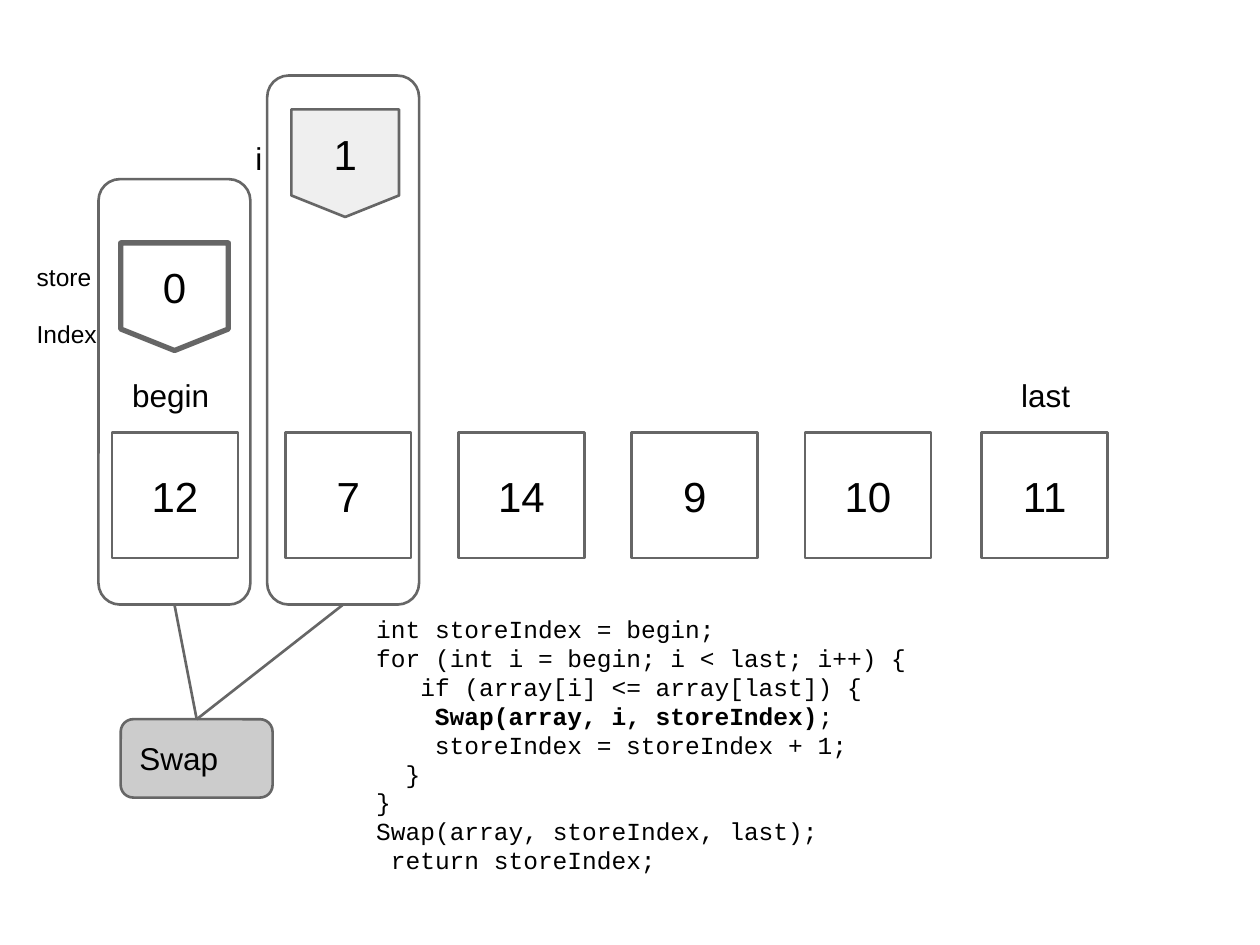
import pptx
import pptx.dml.color
import pptx.enum.shapes
import pptx.enum.text
import pptx.oxml
import pptx.oxml.ns
import pptx.util
from dataclasses import dataclass

Pt = pptx.util.Pt
SHAPE = pptx.enum.shapes.MSO_SHAPE
ALIGN = pptx.enum.text.PP_ALIGN
ANCHOR = pptx.enum.text.MSO_ANCHOR


@dataclass(frozen=True)
class Theme:
    ink: str = "000000"
    outline: str = "666666"
    marker: str = "EFEFEF"
    button: str = "CCCCCC"
    sans: str = "Arial"
    mono: str = "Courier New"
    number: float = 24
    label: float = 18
    small: float = 14
    leading: float = 16.5
    char: float = 8.4  # width of one code character
    thin: float = 1.5
    thick: float = 3


class Diagram:
    def __init__(self, s, theme):
        self.s, self.theme = s, theme

    def set_text(self, tf, lines, size, font=None, align=ALIGN.LEFT,
                 anchor=ANCHOR.TOP, insets=(0, 0.7, 0, 0), wrap=True, **spacing):
        """Fill a text frame; each line is (text, indent in characters, bold part)."""
        left, top, right, bottom = map(Pt, insets)
        frame = {"margin_left": left, "margin_top": top, "margin_right": right,
                 "margin_bottom": bottom, "word_wrap": wrap, "vertical_anchor": anchor}
        for name, value in frame.items():
            setattr(tf, name, value)
        for n, (text, indent, bold) in enumerate(lines):
            p = tf.add_paragraph() if n else tf.paragraphs[0]
            for name, value in {"alignment": align, **spacing}.items():
                setattr(p, name, value)
            if indent:
                p._p.get_or_add_pPr().set("marL", str(Pt(indent * self.theme.char)))
            for part, weight in ((bold, True), (text, False)):
                if part:
                    r = p.add_run()
                    r.text = part
                    look = {"name": font or self.theme.sans, "size": Pt(size), "bold": weight}
                    for name, value in look.items():
                        setattr(r.font, name, value)
                    r.font.color.rgb = pptx.dml.color.RGBColor.from_string(self.theme.ink)

    def paint(self, sp, fill=None, width=None):
        sp.shadow.inherit = False
        if fill:
            sp.fill.solid()
            sp.fill.fore_color.rgb = pptx.dml.color.RGBColor.from_string(fill)
        else:
            sp.fill.background()
        self.stroke(sp, width)
        return sp

    def stroke(self, sp, width=None):
        sp.line.width = Pt(width or self.theme.thin)
        sp.line.color.rgb = pptx.dml.color.RGBColor.from_string(self.theme.outline)

    def cell(self, x, y, side, value):
        sp = self.paint(self.s.shapes.add_shape(
            SHAPE.RECTANGLE, Pt(x), Pt(y), Pt(side), Pt(side)))
        self.set_text(sp.text_frame, [(value, 0, "")], self.theme.number,
                      align=ALIGN.CENTER, anchor=ANCHOR.MIDDLE)

    def frame(self, x, y, w, h, radius, fill=None):
        sp = self.paint(self.s.shapes.add_shape(
            SHAPE.ROUNDED_RECTANGLE, Pt(x), Pt(y), Pt(w), Pt(h)), fill)
        sp.adjustments[0] = radius / min(w, h)
        return sp

    def pointer(self, x, y, value, fill=None, width=None):
        """Square marker whose lower edge comes to a point."""
        side, shoulder = 61.5, 49.2
        pen = self.s.shapes.build_freeform(Pt(x), Pt(y))
        corners = [(side, 0), (side, shoulder), (side / 2, side), (0, shoulder)]
        pen.add_line_segments([(Pt(x + dx), Pt(y + dy)) for dx, dy in corners])
        sp = self.paint(pen.convert_to_shape(), fill, width)
        self.set_text(sp.text_frame, [(value, 0, "")], self.theme.number,
                      align=ALIGN.CENTER, anchor=ANCHOR.MIDDLE, insets=(0, 0, 0, 11))

    def text(self, x, y, w, h, lines, size, **style):
        sp = self.s.shapes.add_textbox(Pt(x), Pt(y), Pt(w), Pt(h))
        self.set_text(sp.text_frame, lines, size, **style)

    def label(self, x, y, w, value):
        self.text(x, y, w, 24, [(value, 0, "")], self.theme.label,
                  wrap=False, space_before=Pt(1))

    def link(self, start, end):
        """Join the top of one shape to the bottom of another."""
        sp = self.s.shapes.add_connector(
            pptx.enum.shapes.MSO_CONNECTOR.STRAIGHT, 0, 0, 0, 0)
        sp.begin_connect(start, 0)
        sp.end_connect(end, 2)
        self.stroke(sp)
        sp._element.spPr.append(pptx.oxml.parse_xml(
            "<a:effectLst %s/>" % pptx.oxml.ns.nsdecls("a")))


VALUES = ["12", "7", "14", "9", "10", "11"]
CELL_LEFTS = [64 + 99 * i for i in range(5)] + [561]

CODE = [
    ("int storeIndex = begin;", 0, ""),
    ("for (int i = begin; i < last; i++) {", 0, ""),
    ("if (array[i] <= array[last]) {", 3, ""),
    (";", 4, "Swap(array, i, storeIndex)"),
    ("storeIndex = storeIndex + 1;", 4, ""),
    ("}", 2, ""),
    ("}", 0, ""),
    ("Swap(array, storeIndex, last);", 0, ""),
    ("return storeIndex;", 1, ""),
]


def main():
    prs = pptx.Presentation()
    prs.slide_width, prs.slide_height = Pt(720), Pt(540)
    theme = Theme()
    d = Diagram(prs.slides.add_slide(prs.slide_layouts[6]), theme)

    # Array with its end labels
    for x, value in zip(CELL_LEFTS, VALUES):
        d.cell(x, 247, 72, value)
    d.label(75.5, 214, 46, "begin")
    d.label(583.5, 214, 31, "last")

    # Partition code
    d.text(215, 350.6, 305, 150.5, CODE, theme.small, font=theme.mono,
           line_spacing=Pt(theme.leading))

    # Index markers
    d.pointer(69, 138.8, "0", width=theme.thick)
    d.text(21, 147.6, 36, 52, [("store", 0, ""), ("Index", 0, "")], theme.small,
           insets=(0, 2.2, 0, 0), wrap=False,
           line_spacing=Pt(theme.leading), space_after=Pt(theme.leading))
    d.pointer(166.5, 62.5, "1", fill=theme.marker)
    d.label(146, 78.5, 6, "i")

    # Swap button linked to the two columns
    swap = d.frame(69, 411, 86.8, 44.8, 7.2, theme.button)
    d.set_text(swap.text_frame, [("Swap", 0, "")], theme.label,
               anchor=ANCHOR.MIDDLE, insets=(8.6, 0, 0, 0))
    for x, top in ((56.3, 102.4), (152.7, 43.2)):
        d.link(swap, d.frame(x, top, 86.8, 345.5 - top, 12.3))

    prs.save("out.pptx")


if __name__ == "__main__":
    main()
